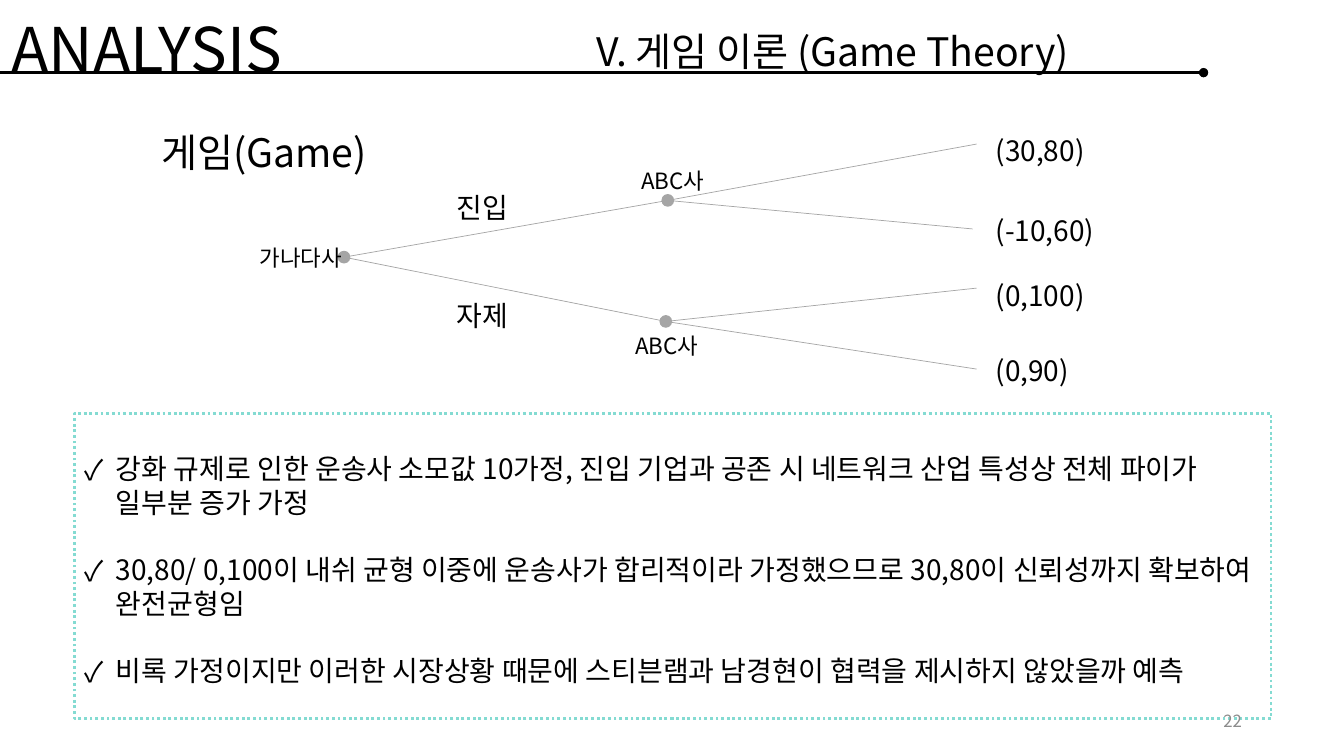
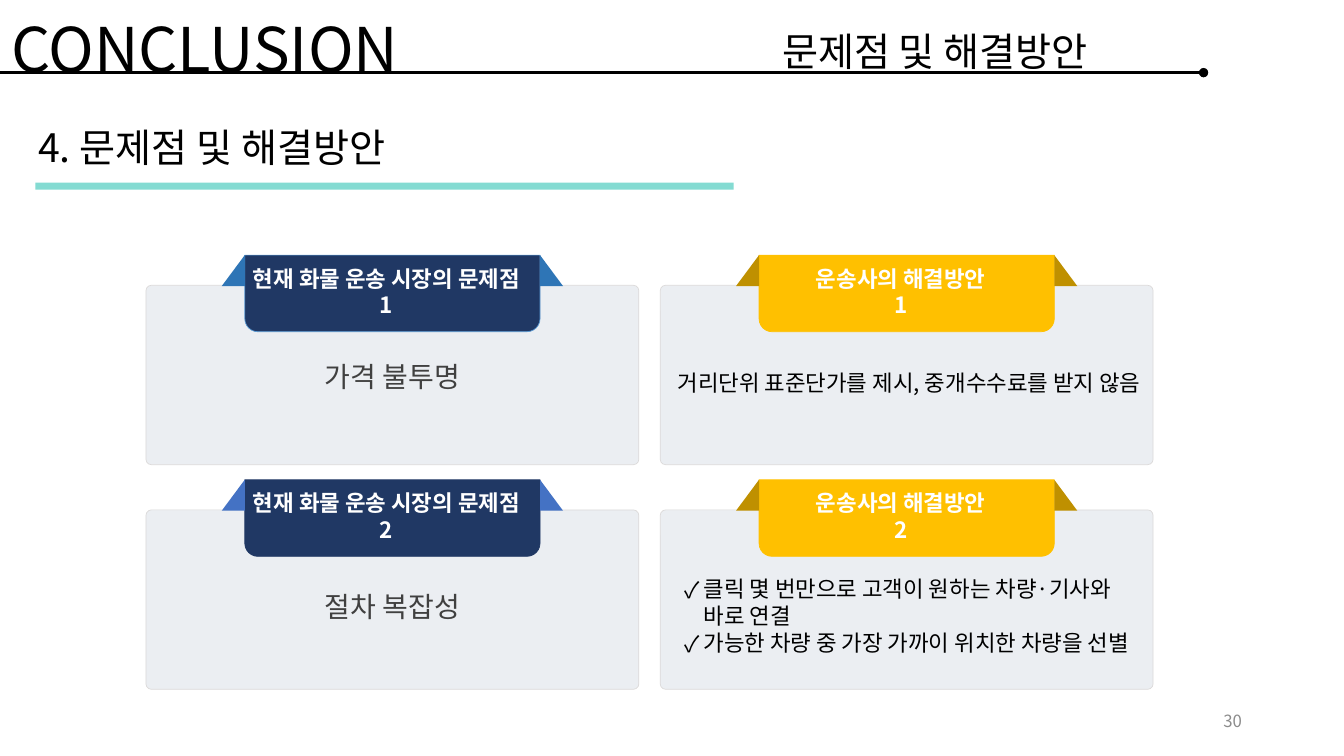
from dataclasses import dataclass

from lxml.etree import SubElement
from pptx import Presentation
from pptx.dml.color import RGBColor
from pptx.enum.dml import MSO_LINE_DASH_STYLE as Dash
from pptx.enum.shapes import MSO_CONNECTOR as Connector, MSO_SHAPE as Shape
from pptx.enum.text import MSO_ANCHOR as Anchor, MSO_AUTO_SIZE as AutoSize, PP_ALIGN as Align
from pptx.oxml.ns import qn
from pptx.util import Cm, Pt


# Theme
@dataclass(frozen=True)
class Theme:
    font: str = "Noto Sans CJK KR"
    black: str = "000000"
    white: str = "FFFFFF"
    mint: str = "84DBD2"
    tree: str = "A5A5A5"
    page: str = "8C8C8C"
    problem: str = "404040"
    card: str = "EBEEF2"
    card_line: str = "DCDADA"
    navy: str = "203864"
    sky: str = "5B9BD5"
    fold_blue: str = "2E75B6"
    fold_indigo: str = "4472C4"
    gold: str = "FFC000"
    fold_gold: str = "BF9000"
    section: int = 44
    heading: int = 28
    body: int = 20
    small: int = 16
    footer: int = 12


THEME = Theme()

# Content of the game slide (positions in cm)
GAME = {"section": "ANALYSIS", "topic": "V. 게임 이론 (Game Theory)", "topic_left": 14.78,
        "page": "22"}
GAME_HEADING = "게임(Game)"
ASSUMPTIONS = [
    "강화 규제로 인한 운송사 소모값 10가정, 진입 기업과 공존 시 네트워크 산업 특성상 전체 파이가 일부분 증가 가정",
    "30,80/ 0,100이 내쉬 균형 이중에 운송사가 합리적이라 가정했으므로 30,80이 신뢰성까지 확보하여 완전균형임",
    "비록 가정이지만 이러한 시장상황 때문에 스티븐램과 남경현이 협력을 제시하지 않았을까 예측",
]
ROOT = (8.67, 6.48)
ENTER, REFRAIN = (16.83, 5.05), (16.78, 8.1)
BRANCHES = [
    (ROOT, ENTER), (ROOT, REFRAIN),
    (ENTER, (24.61, 3.63)), (ENTER, (24.51, 5.77)),
    (REFRAIN, (24.61, 7.26)), (REFRAIN, (24.61, 9.3)),
]
PAYOFFS = [("(30,80)", 3.23), ("(-10,60)", 5.26), ("(0,100)", 6.88), ("(0,90)", 8.79)]
TREE_LABELS = [
    ("가나다사", 6.02, 6.02, THEME.small),
    ("진입", 10.59, 4.67, THEME.body),
    ("자제", 10.59, 7.39, THEME.body),
    ("ABC사", 15.39, 4.09, THEME.small),
    ("ABC사", 15.24, 8.23, THEME.small),
]

# Content of the solutions slide
SOLUTION = {"section": "CONCLUSION", "topic": "문제점 및 해결방안", "topic_left": 19.46,
            "page": "30"}
SOLUTION_HEADING = "4. 문제점 및 해결방안"
PROBLEM_TITLE, ANSWER_TITLE = "현재 화물 운송 시장의 문제점", "운송사의 해결방안"
# column, row, ribbon title, ribbon fill, ribbon line, fold fill
CARDS = [
    (0, 0, PROBLEM_TITLE, THEME.navy, THEME.sky, THEME.fold_blue),
    (0, 1, PROBLEM_TITLE, THEME.navy, THEME.navy, THEME.fold_indigo),
    (1, 0, ANSWER_TITLE, THEME.gold, THEME.gold, THEME.fold_gold),
    (1, 1, ANSWER_TITLE, THEME.gold, THEME.gold, THEME.fold_gold),
]
# text, column, row, offset in the card, width, size, colour
CARD_TEXTS = [
    ("가격 불투명", 0, 0, (0.59, 1.88), 11.25, THEME.body, THEME.problem),
    ("절차 복잡성", 0, 1, (0.59, 2.01), 11.25, THEME.body, THEME.problem),
    ("거리단위 표준단가를 제시, 중개수수료를 받지 않음", 1, 0, (0.06, 2.11), 12.42,
     THEME.small, THEME.black),
]
ANSWERS = [
    "클릭 몇 번만으로 고객이 원하는 차량·기사와 바로 연결",
    "가능한 차량 중 가장 가까이 위치한 차량을 선별",
]
CARD_LEFT, CARD_TOP, CARD_WIDTH, CARD_HEIGHT = 3.68, 7.19, 12.42, 4.52
COLUMN_STEP, ROW_STEP = 12.96, 5.66
RIBBON_WIDTH, RIBBON_HEIGHT, RIBBON_RISE = 7.44, 1.93, 0.76
FOLD_WIDTH, FOLD_HEIGHT = 0.58, 0.78


# Helpers
def cm_box(*lengths):
    return [Cm(length) for length in lengths]


def place(shape, *box):
    shape.left, shape.top, shape.width, shape.height = cm_box(*box)


def add_run(paragraph, text, size, color, bold=False):
    run = paragraph.add_run()
    run.text = text
    run.font.name, run.font.size, run.font.bold = THEME.font, Pt(size), bold
    run.font.color.rgb = RGBColor.from_string(color)
    SubElement(run._r.get_or_add_rPr(), qn("a:ea"), typeface=THEME.font)


def set_frame(frame, anchor=Anchor.TOP, insets=(0.25, 0.13, 0.25, 0.13)):
    frame.word_wrap = True
    frame.auto_size = AutoSize.NONE
    frame.vertical_anchor = anchor
    (frame.margin_left, frame.margin_top,
     frame.margin_right, frame.margin_bottom) = cm_box(*insets)


def write(shape, text, size, color=THEME.black, align=Align.LEFT, **frame_options):
    set_frame(shape.text_frame, **frame_options)
    paragraph = shape.text_frame.paragraphs[0]
    paragraph.alignment = align
    add_run(paragraph, text, size, color)


def add_label(slide, text, box, size, **options):
    write(slide.shapes.add_textbox(*cm_box(*box)), text, size, **options)


def write_checklist(body, items, size, indent, gap, insets):
    frame = body.text_frame
    set_frame(frame, insets=insets)
    for index, item in enumerate(items):
        paragraph = frame.add_paragraph() if index else frame.paragraphs[0]
        paragraph.alignment = Align.LEFT
        paragraph.space_before, paragraph.space_after = Pt(0), Pt(gap)
        add_run(paragraph, item, size, THEME.black)
        properties = paragraph._p.get_or_add_pPr()
        properties.set("marL", str(Cm(indent)))
        properties.set("indent", str(-Cm(indent)))
        SubElement(properties, qn("a:buFont"), typeface=THEME.font)
        SubElement(properties, qn("a:buChar"), char="✓")


def add_block(slide, kind, box, fill, line=None):
    shape = slide.shapes.add_shape(kind, *cm_box(*box))
    shape.shadow.inherit = False
    shape.fill.solid()
    shape.fill.fore_color.rgb = RGBColor.from_string(fill)
    if line:
        shape.line.color.rgb = RGBColor.from_string(line)
        shape.line.width = Pt(0.5)
    else:
        shape.line.fill.background()
    return shape


def add_line(slide, start, end, color, width):
    line = slide.shapes.add_connector(Connector.STRAIGHT, *cm_box(*start, *end))
    line.line.color.rgb = RGBColor.from_string(color)
    line.line.width = Pt(width)
    SubElement(line.element.spPr, qn("a:effectLst"))
    return line


def add_base_slide(presentation, section, topic, topic_left, page):
    """Add a slide with the section title, rule, topic and page number."""
    slide = presentation.slides.add_slide(presentation.slide_layouts[1])
    title = slide.shapes.title
    place(title, 0.03, 0.15, 12.17, 2.13)
    write(title, section, THEME.section)
    rule = add_line(slide, (0, 1.83), (30.33, 1.83), THEME.black, 2.25)
    SubElement(rule.line._get_or_add_ln(), qn("a:tailEnd"), type="oval")
    add_label(slide, topic, (topic_left, 0.56, 30.33 - topic_left, 1.45), THEME.heading)
    add_label(slide, page, (23.93, 17.65, 7.62, 1.02), THEME.footer, color=THEME.page,
              align=Align.RIGHT, anchor=Anchor.MIDDLE)
    return slide


# Game slide
def build_game_slide(presentation):
    slide = add_base_slide(presentation, **GAME)
    add_label(slide, GAME_HEADING, (3.81, 3.1, 10.87, 1.45), THEME.heading)

    # Decision tree
    for start, end in BRANCHES:
        add_line(slide, start, end, THEME.tree, 0.5)
    dot = 0.32
    for x, y in (ROOT, ENTER, REFRAIN):
        add_block(slide, Shape.OVAL, (x - dot / 2, y - dot / 2, dot, dot), THEME.tree)
    for text, left, top, size in TREE_LABELS:
        add_label(slide, text, (left, top, 3.12, 1.12), size, align=Align.CENTER)
    for text, top in PAYOFFS:
        add_label(slide, text, (24.84, top, 3.4, 1.12), THEME.body)

    # Assumptions in the dotted box
    body = slide.placeholders[1]
    place(body, 1.88, 10.41, 30.15, 7.7)
    body.line.color.rgb = RGBColor.from_string(THEME.mint)
    body.line.width = Pt(2)
    body.line.dash_style = Dash.ROUND_DOT
    write_checklist(body, ASSUMPTIONS, THEME.body, indent=0.79, gap=24,
                    insets=(0.25, 0.97, 0.25, 0.13))


# Solutions slide
def card_origin(column, row):
    return CARD_LEFT + column * COLUMN_STEP, CARD_TOP + row * ROW_STEP


def add_card(slide, column, row, title, fill, line, fold_fill):
    left, top = card_origin(column, row)
    card = add_block(slide, Shape.ROUNDED_RECTANGLE, (left, top, CARD_WIDTH, CARD_HEIGHT),
                     THEME.card, THEME.card_line)
    card.adjustments[0] = 0.03

    ribbon_left = left + (CARD_WIDTH - RIBBON_WIDTH) / 2
    ribbon_top = top - RIBBON_RISE
    ribbon = add_block(slide, Shape.ROUND_2_SAME_RECTANGLE,
                       (ribbon_left, ribbon_top, RIBBON_WIDTH, RIBBON_HEIGHT), fill, line)
    ribbon.adjustments[0], ribbon.adjustments[1] = 0, 0.17
    set_frame(ribbon.text_frame, Anchor.MIDDLE, (0, 0, 0.3, 0))
    paragraph = ribbon.text_frame.paragraphs[0]
    paragraph.alignment = Align.CENTER
    add_run(paragraph, title, THEME.small, THEME.white, bold=True)
    paragraph.add_line_break()
    add_run(paragraph, str(row + 1), THEME.small, THEME.white, bold=True)

    for fold_left in (ribbon_left - FOLD_WIDTH, ribbon_left + RIBBON_WIDTH):
        fold = add_block(slide, Shape.RIGHT_TRIANGLE,
                         (fold_left, ribbon_top, FOLD_WIDTH, FOLD_HEIGHT), fold_fill)
        if fold_left < ribbon_left:
            fold.element.spPr.find(qn("a:xfrm")).set("flipH", "1")


def build_solution_slide(presentation):
    slide = add_base_slide(presentation, **SOLUTION)
    add_label(slide, SOLUTION_HEADING, (0.71, 2.97, 18.77, 1.45), THEME.heading)
    add_block(slide, Shape.RECTANGLE, (0.89, 4.6, 17.6, 0.18), THEME.mint)

    # Cards and their texts
    for card in CARDS:
        add_card(slide, *card)
    for text, column, row, (shift, drop), width, size, color in CARD_TEXTS:
        left, top = card_origin(column, row)
        add_label(slide, text, (left + shift, top + drop, width, 0.86), size, color=color,
                  align=Align.CENTER, insets=(0, 0, 0, 0))

    # Checklist, brought in front of its card
    body = slide.placeholders[1]
    left, top = card_origin(1, 1)
    place(body, left + 0.61, top + 1.65, 11.25, 2.7)
    write_checklist(body, ANSWERS, THEME.small, indent=0.48, gap=0, insets=(0, 0, 0, 0))
    body.element.getparent().append(body.element)


def main():
    presentation = Presentation()
    presentation.slide_width, presentation.slide_height = Cm(33.87), Cm(19.05)
    build_game_slide(presentation)
    build_solution_slide(presentation)
    presentation.save("out.pptx")


if __name__ == "__main__":
    main()
